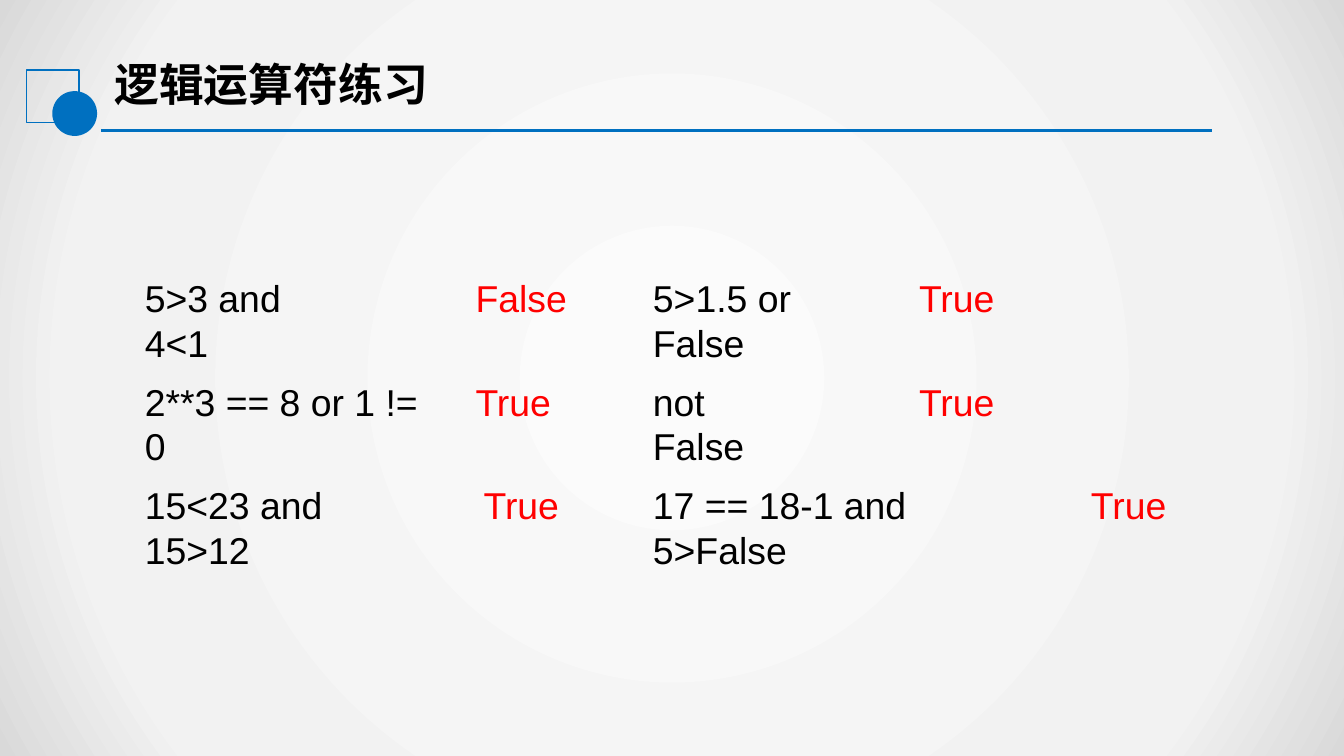
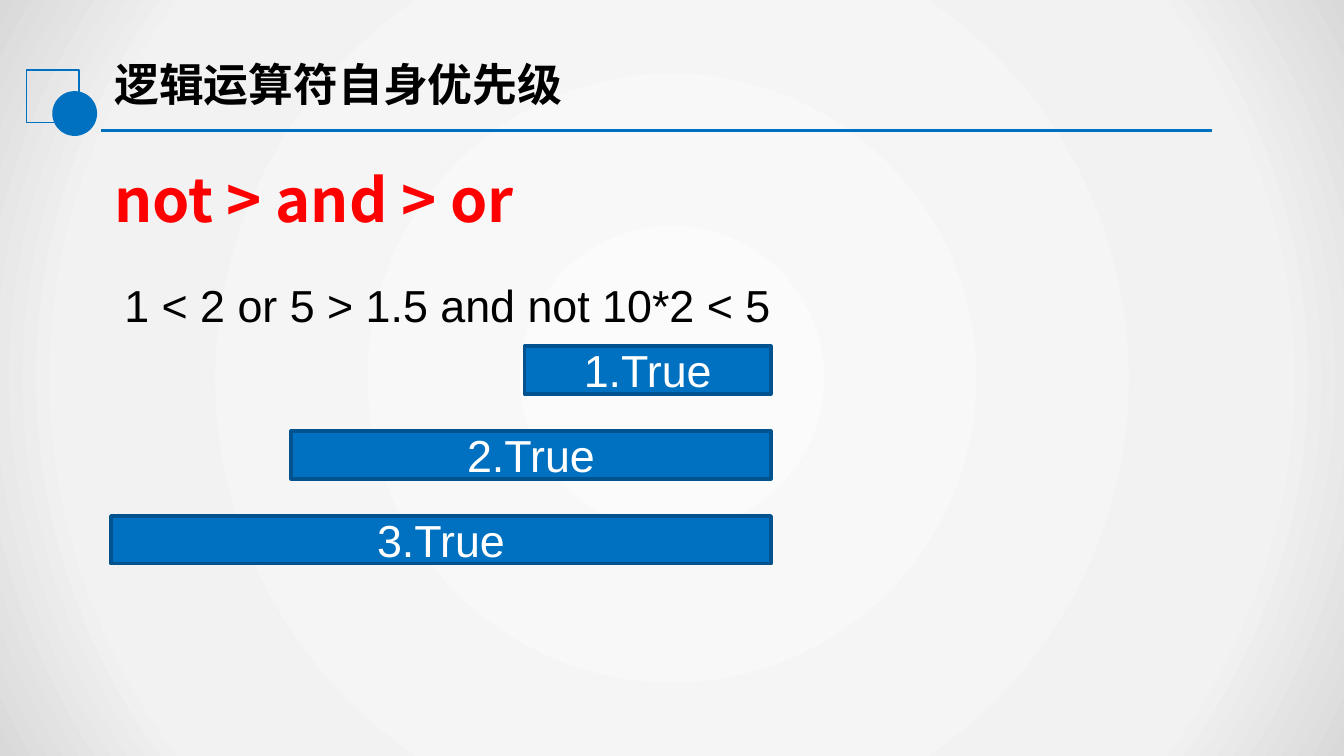
from lxml.etree import SubElement
from pptx import Presentation
from pptx.dml.color import RGBColor
from pptx.enum.shapes import MSO_CONNECTOR, MSO_SHAPE
from pptx.enum.text import MSO_ANCHOR, MSO_AUTO_SIZE, PP_ALIGN
from pptx.oxml import parse_xml
from pptx.oxml.ns import nsdecls, qn
from pptx.util import Pt

BLUE, DARK_BLUE, RED, BLACK, WHITE = "0070C0", "00538E", "FF0000", "000000", "FFFFFF"
LATIN, CHINESE = "Arial", "Noto Sans CJK SC"
BACKDROP = [(0, "FBFBFB"), (79, "F2F2F2"), (100, "D9D9D9")]

TITLE_STYLE = {"name": CHINESE, "size": Pt(24), "bold": True}
RULE_STYLE = {"name": CHINESE, "size": Pt(32), "bold": True}
EXERCISE_STYLE = {"name": LATIN, "size": Pt(20), "bold": False}
STEP_STYLE = {"name": LATIN, "size": Pt(24), "bold": False}

PRACTICE_TITLE = "逻辑运算符练习"
EXERCISE_COLUMNS = [
    (70.5, [
        ("5>3 and 4<1", 124, "False", 247.7),
        ("2**3 == 8 or 1 != 0", 174, "True", 247.7),
        ("15<23 and 15>12", 168, "True", 252),
    ]),
    (342.7, [
        ("5>1.5 or False", 140, "True", 485.3),
        ("not False", 94, "True", 485.3),
        ("17 == 18-1 and 5>False", 224, "True", 577.4),
    ]),
]
ROW_TOP, ROW_STEP, ROW_HEIGHT = 144, 55.4, 31.5

PRIORITY_TITLE = "逻辑运算符自身优先级"
PRIORITY_RULE = "not > and > or"
PRIORITY_EXAMPLE = "1 < 2 or 5 > 1.5 and not 10*2 < 5"
STEPS = [("1.True", 281), ("2.True", 156), ("3.True", 59.5)]
STEP_TOP, STEP_GAP, STEP_HEIGHT, STEP_RIGHT = 185.5, 45.5, 25.5, 413


def color(value):
    return RGBColor.from_string(value)


def points(*lengths):
    return [Pt(length) for length in lengths]


def write(shape, text, style, ink, wrap=True, align=PP_ALIGN.LEFT, anchor=MSO_ANCHOR.TOP):
    frame = shape.text_frame
    settings = {"word_wrap": wrap, "auto_size": MSO_AUTO_SIZE.NONE, "vertical_anchor": anchor}
    for name, value in settings.items():
        setattr(frame, name, value)
    para = frame.paragraphs[0]
    para.alignment = align
    span = para.add_run()
    span.text = text
    for name, value in style.items():
        setattr(span.font, name, value)
    span.font.color.rgb = color(ink)
    SubElement(span.font._element, qn("a:ea"), typeface=style["name"])


def add_text(page, text, place, style, ink, wrap=False):
    box = page.shapes.add_textbox(*points(*place))
    write(box, text, style, ink, wrap)


def add_block(page, kind, place, fill=None, line=None, weight=0):
    block = page.shapes.add_shape(kind, *points(*place))
    block.shadow.inherit = False
    if fill:
        block.fill.solid()
        block.fill.fore_color.rgb = color(fill)
    else:
        block.fill.background()
    if line:
        block.line.color.rgb = color(line)
        block.line.width = Pt(weight)
    else:
        block.line.fill.background()
    return block


def paint_backdrop(deck):
    fill = deck.slide_master.background.fill
    fill.solid()
    fill.fore_color.rgb = color(BACKDROP[1][1])
    stops = "".join(
        f'<a:gs pos="{place * 1000}"><a:srgbClr val="{tone}"/></a:gs>' for place, tone in BACKDROP
    )
    gradient = parse_xml(
        f'<a:gradFill {nsdecls("a")} rotWithShape="1"><a:gsLst>{stops}</a:gsLst>'
        '<a:path path="circle"><a:fillToRect l="50000" t="50000" r="50000" b="50000"/></a:path>'
        "</a:gradFill>"
    )
    solid = next(deck.slide_master.element.iter(qn("a:solidFill")))
    solid.getparent().replace(solid, gradient)


def add_page(deck, heading):
    page = deck.slides.add_slide(deck.slide_layouts[5])
    title = page.shapes.title
    title.left, title.top, title.width, title.height = points(54, 26.5, 329, 36)
    write(title, heading, TITLE_STYLE, BLACK)
    add_block(page, MSO_SHAPE.RECTANGLE, (14.2, 37.6, 28.2, 28.2), line=BLUE, weight=0.75)
    rule = page.shapes.add_connector(MSO_CONNECTOR.STRAIGHT, *points(54, 70, 649.5, 70))
    rule.line.color.rgb = color(BLUE)
    rule.line.width = Pt(1.25)
    SubElement(rule._element.spPr, qn("a:effectLst"))
    add_block(page, MSO_SHAPE.OVAL, (28, 48.8, 24, 24), fill=BLUE)
    return page


def build_practice(deck):
    page = add_page(deck, PRACTICE_TITLE)
    for left, exercises in EXERCISE_COLUMNS:
        for row, (expression, width, answer, answer_left) in enumerate(exercises):
            top = ROW_TOP + row * ROW_STEP
            add_text(page, expression, (left, top, width, ROW_HEIGHT), EXERCISE_STYLE, BLACK, True)
            answer_width = 64 if answer == "False" else 55.5
            place = (answer_left, top, answer_width, ROW_HEIGHT)
            add_text(page, answer, place, EXERCISE_STYLE, RED)


def build_priority(deck):
    page = add_page(deck, PRIORITY_TITLE)
    add_text(page, PRIORITY_RULE, (54, 83.5, 251, 46), RULE_STYLE, RED)
    add_text(page, PRIORITY_EXAMPLE, (59.5, 145.5, 361, 36), STEP_STYLE, BLACK)
    for row, (result, left) in enumerate(STEPS):
        place = (left, STEP_TOP + row * STEP_GAP, STEP_RIGHT - left, STEP_HEIGHT)
        bar = add_block(page, MSO_SHAPE.RECTANGLE, place, BLUE, DARK_BLUE, 2)
        write(bar, result, STEP_STYLE, WHITE, align=PP_ALIGN.CENTER, anchor=MSO_ANCHOR.MIDDLE)


def main():
    deck = Presentation()
    deck.slide_width, deck.slide_height = points(720, 405)
    paint_backdrop(deck)
    build_practice(deck)
    build_priority(deck)
    deck.save("out.pptx")


if __name__ == "__main__":
    main()
